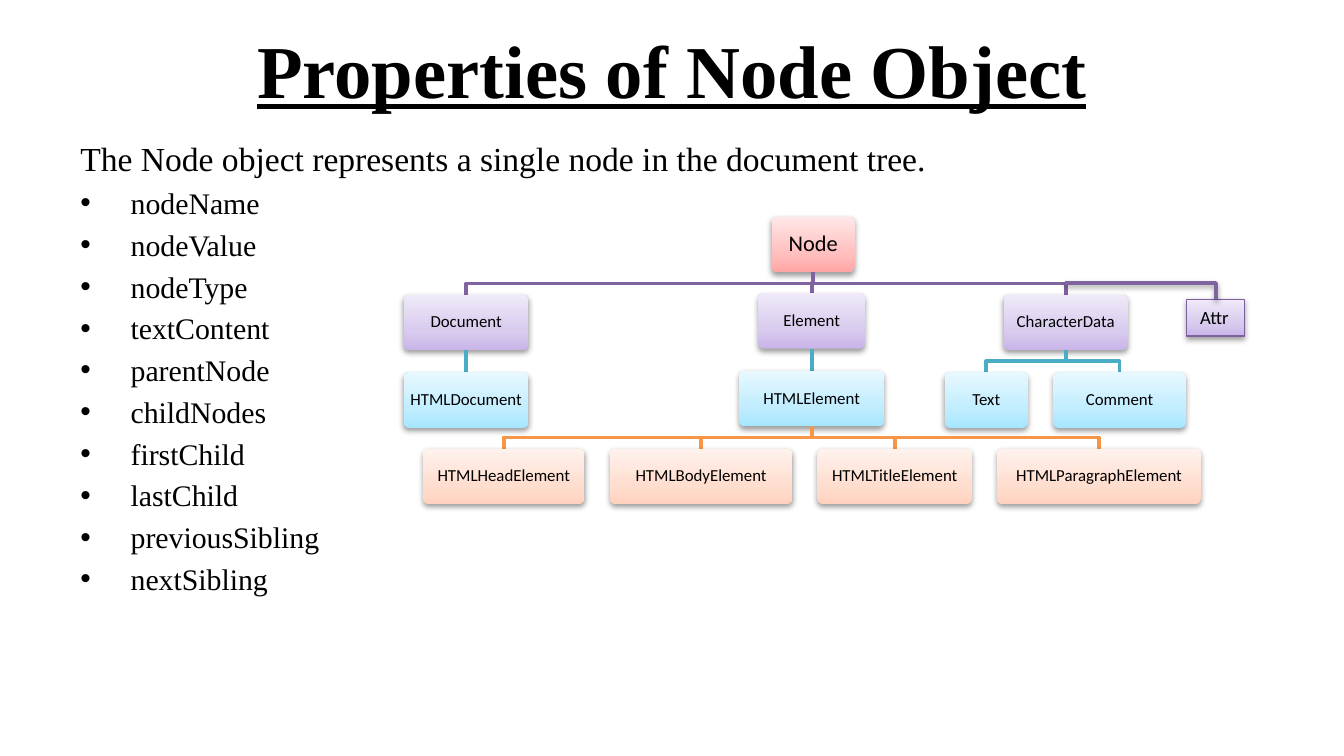
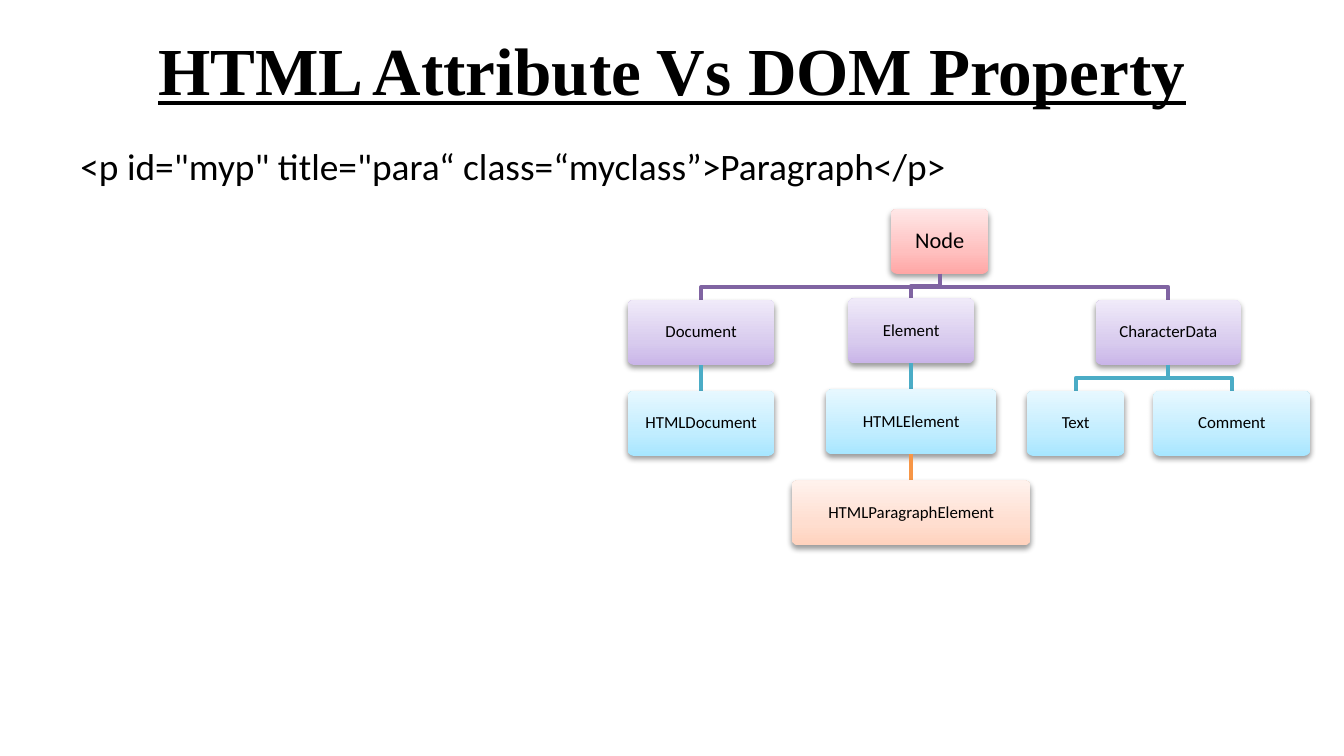
import pptx
import pptx.util
import pptx.dml.color
import pptx.enum.shapes
import pptx.enum.text
import pptx.oxml.ns
import lxml.etree

Cm, Pt = pptx.util.Cm, pptx.util.Pt
qn = pptx.oxml.ns.qn
KIND = pptx.enum.shapes.MSO_SHAPE
ANCHOR = pptx.enum.text.MSO_ANCHOR
CENTER = pptx.enum.text.PP_ALIGN.CENTER

SERIF, SANS = "Times New Roman", "Calibri"
COLOR = {"ink": "000000", "edge": "7D60A0"}
LEVELS = [
    {"line": None, "grad": ("FFA6A5", "FFC0BF", "FFE7E7")},
    {"line": "8064A2", "grad": ("C9B5E8", "D8CBEE", "F0EAF9")},
    {"line": "4BACC6", "grad": ("A7E6FF", "C1EDFF", "E7F8FF")},
    {"line": "F79646", "grad": ("FFD2BD", "FFDED0", "FFF2ED")},
]
STOPS = (0, 35, 100)
LIFT = {"Element": 0.03}
ATTR = {"text": "Attr", "at": (22.43, 5.66, 1.09, 0.69),
        "bend": [(20.13, 5.35), (22.98, 5.35), (22.98, 5.66)]}

SLIDES = [
    {
        "title": "Properties of Node Object", "size": 40,
        "box": (2.49, 11.23),
        "lead": "The Node object represents a single node in the document tree.",
        "font": (SERIF, 18),
        "items": ["nodeName", "nodeValue", "nodeType", "textContent",
                  "parentNode", "childNodes", "firstChild", "lastChild",
                  "previousSibling", "nextSibling"],
        "top": 4.1, "high": 1.05, "step": 1.47,
        "tree": ("Node", 15.37, 1.57, [
            ("Document", 8.81, 2.36, [("HTMLDocument", 8.81, 2.36, [])]),
            ("Element", 15.34, 2.02, [
                ("HTMLElement", 15.34, 2.74, [
                    ("HTMLHeadElement", 9.52, 3.05, []),
                    ("HTMLBodyElement", 13.25, 3.45, []),
                    ("HTMLTitleElement", 16.91, 2.92, []),
                    ("HTMLParagraphElement", 20.77, 3.86, [])])]),
            ("CharacterData", 20.14, 2.34, [
                ("Text", 18.64, 1.57, []),
                ("Comment", 21.16, 2.51, [])])]),
        "attr": ATTR,
    },
    {
        "title": "HTML Attribute Vs DOM Property", "size": 36,
        "box": (2.59, 9.42),
        "lead": '<p id="myp" title="para“ class=“myclass”>Paragraph</p>',
        "font": (SANS, 20),
        "items": [],
        "top": 3.95, "high": 1.23, "step": 1.72,
        "tree": ("Node", 17.76, 1.85, [
            ("Document", 13.25, 2.78, [("HTMLDocument", 13.25, 2.78, [])]),
            ("Element", 17.22, 2.39, [
                ("HTMLElement", 17.22, 3.23, [
                    ("HTMLParagraphElement", 17.22, 4.52, [])])]),
            ("CharacterData", 22.08, 2.75, [
                ("Text", 20.33, 1.85, []),
                ("Comment", 23.28, 2.97, [])])]),
        "attr": None,
    },
]


def rgb(code):
    return pptx.dml.color.RGBColor.from_string(code)


def add(parent, tag, **attrs):
    return lxml.etree.SubElement(parent, qn(tag), attrs)


def write(para, text, face, size, bold=False):
    para.text = text
    font = para.font
    font.name, font.size = face, Pt(size)
    font.bold = font.underline = bold
    font.color.rgb = rgb(COLOR["ink"])


def percent(para, side, value):
    setattr(para, side, Pt(1))
    tag = {"space_before": "a:spcBef", "space_after": "a:spcAft"}[side]
    gap = para._p.pPr.find(qn(tag))
    gap.remove(gap[0])
    add(gap, "a:spcPct", val=str(value * 1000))


def bullet(para):
    props = para._p.get_or_add_pPr()
    props.set("marL", str(Cm(0.95)))
    props.set("indent", str(-Cm(0.95)))
    mark = lxml.etree.Element(qn("a:buFont"), typeface="Arial")
    dot = lxml.etree.Element(qn("a:buChar"), char="•")
    base = props.find(qn("a:defRPr"))
    base.addprevious(mark)
    base.addprevious(dot)


def frame(slide, top, high):
    box = slide.shapes.add_textbox(Cm(1.27), Cm(top), Cm(22.86), Cm(high))
    box.text_frame.word_wrap = True
    return box.text_frame


def shade(shape):
    shape.shadow.inherit = False
    effects = shape.element.spPr.find(qn("a:effectLst"))
    cast = add(effects, "a:outerShdw", blurRad=str(Pt(3.1)), dist=str(Pt(1.6)),
               dir="5400000", rotWithShape="0")
    tint = add(cast, "a:srgbClr", val=COLOR["ink"])
    add(tint, "a:alpha", val="38000")


def block(slide, kind, place, grad):
    shape = slide.shapes.add_shape(kind, *map(Cm, place))
    shape.fill.gradient()
    shape.fill.gradient_angle = 90
    stops = shape.element.spPr.find(".//" + qn("a:gsLst"))
    for old in list(stops):
        stops.remove(old)
    for pos, code in zip(STOPS, grad):
        stop = add(stops, "a:gs", pos=str(pos * 1000))
        add(stop, "a:srgbClr", val=code)
    shape.line.fill.background()
    shade(shape)
    return shape


def route(slide, points, code):
    points = [(Cm(x), Cm(y)) for x, y in points]
    first, last = points[0], points[-1]
    if first[0] == last[0]:
        line = slide.shapes.add_connector(
            pptx.enum.shapes.MSO_CONNECTOR.STRAIGHT, *first, *last)
        add(line.element.spPr, "a:effectLst")
    else:
        trace = slide.shapes.build_freeform(*first)
        trace.add_line_segments(points[1:], close=False)
        line = trace.convert_to_shape()
        line.fill.background()
        line.shadow.inherit = False
    line.line.color.rgb = rgb(code)
    line.line.width = Pt(2)
    return line


def branch(slide, page, node, top, depth=0):
    name, mid, wide, kids = node
    high = page["high"]
    shape = block(slide, KIND.ROUNDED_RECTANGLE,
                  (mid - wide / 2, top, wide, high), LEVELS[depth]["grad"])
    shape.adjustments[0] = 0.1
    text = shape.text_frame
    text.word_wrap = True
    text.vertical_anchor = ANCHOR.MIDDLE
    text.margin_left = text.margin_right = Cm(0)
    text.margin_top = text.margin_bottom = Cm(0.1)
    para = text.paragraphs[0]
    write(para, name, SANS, 9 if depth else 12)
    para.alignment = CENTER
    para.line_spacing = 0.9
    percent(para, "space_after", 35)
    for kid in kids:
        low = top + page["step"] - LIFT.get(kid[0], 0)
        base = top + high
        bend = (base + low) / 2
        route(slide, [(mid, base), (mid, bend), (kid[1], bend), (kid[1], low)],
              LEVELS[depth + 1]["line"])
        branch(slide, page, kid, low, depth + 1)


def extra(slide, attr):
    look = LEVELS[1]
    shape = block(slide, KIND.RECTANGLE, attr["at"], look["grad"])
    shape.line.color.rgb = rgb(COLOR["edge"])
    shape.line.width = Pt(0.75)
    text = shape.text_frame
    text.word_wrap = False
    text.vertical_anchor = ANCHOR.TOP
    write(text.paragraphs[0], attr["text"], SANS, 10)
    text.paragraphs[0].alignment = pptx.enum.text.PP_ALIGN.LEFT
    shade(route(slide, attr["bend"], look["line"]))


def build(deck, page):
    slide = deck.slides.add_slide(deck.slide_layouts[6])
    title = frame(slide, 0.1, 2.39)
    title.vertical_anchor = ANCHOR.MIDDLE
    write(title.paragraphs[0], page["title"], SERIF, page["size"], True)
    title.paragraphs[0].alignment = CENTER

    body = frame(slide, *page["box"])
    write(body.paragraphs[0], page["lead"], *page["font"])
    for item in page["items"]:
        para = body.add_paragraph()
        write(para, item, SERIF, 16)
        bullet(para)
    for para in body.paragraphs:
        percent(para, "space_before", 20)

    branch(slide, page, page["tree"], page["top"])
    if page["attr"]:
        extra(slide, page["attr"])


deck = pptx.Presentation()
deck.slide_width, deck.slide_height = Cm(25.4), Cm(14.29)
for page in SLIDES:
    build(deck, page)
deck.save("out.pptx")
